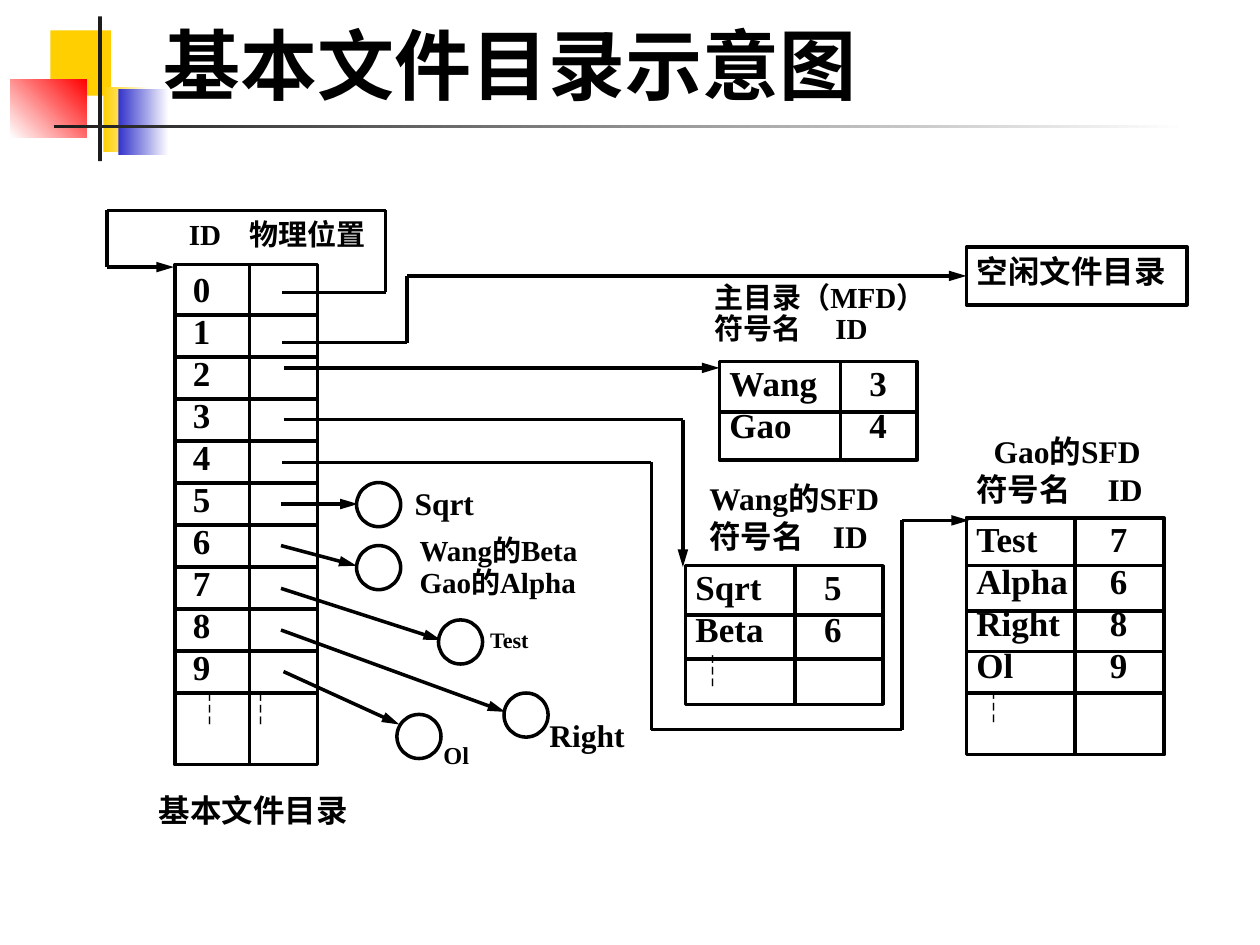
from lxml.etree import SubElement
from pptx import Presentation
from pptx.dml.color import RGBColor
from pptx.enum.shapes import MSO_CONNECTOR as Link, MSO_SHAPE as Shape
from pptx.enum.text import MSO_ANCHOR as Anchor, PP_ALIGN as Align
from pptx.oxml.ns import qn
from pptx.util import Inches, Pt

BLACK, WHITE, YELLOW, BLUE, RED, DARK = (
    "000000", "FFFFFF", "FFCF01", "3333CC", "FF0000", "1C1C1C")
LATIN, HAN = "Times New Roman", "Noto Sans CJK SC"
LABEL_INSETS = (0.08, 0.01, 0.08, 0.01)
CELL_INSETS = (0.08, 0, 0.08, 0)
NO_INSETS = (0, 0, 0, 0)


def colour(value):
    return RGBColor.from_string(value)


def write(frame, text, size=18, insets=LABEL_INSETS, spacing=None, tab=None,
          align=Align.JUSTIFY, first_align=None, anchor=Anchor.TOP):
    frame.word_wrap = True
    frame.vertical_anchor = anchor
    (frame.margin_left, frame.margin_top,
     frame.margin_right, frame.margin_bottom) = map(Inches, insets)
    for index, line in enumerate(text.split("\n")):
        para = frame.add_paragraph() if index else frame.paragraphs[0]
        para.alignment = first_align if first_align and not index else align
        if spacing:
            para.line_spacing = spacing
        if tab and "\t" in line:
            stops = SubElement(para._p.get_or_add_pPr(), qn("a:tabLst"))
            SubElement(stops, qn("a:tab"), pos=str(Inches(tab)), algn="l")
        span = para.add_run()
        span.text = line
        span.font.size = Pt(size)
        span.font.bold = True
        span.font.color.rgb = colour(BLACK)
        span.font.name = HAN if "┆" in line else LATIN
        SubElement(span._r.get_or_add_rPr(), qn("a:ea"), typeface=HAN)


class Diagram:
    def __init__(self, page, stroke=BLACK, weight=2):
        self.page = page
        self.stroke = stroke
        self.weight = weight

    def block(self, at, start, end=None, angle=0):
        box = self.page.shapes.add_shape(Shape.RECTANGLE, *map(Inches, at))
        box.shadow.inherit = False
        box.line.fill.background()
        if end is None:
            box.fill.solid()
            box.fill.fore_color.rgb = colour(start)
            return
        box.fill.gradient()
        box.fill.gradient_angle = angle
        for stop, value in zip(box.fill.gradient_stops, (start, end)):
            stop.color.rgb = colour(value)

    def outlined(self, kind, at):
        box = self.page.shapes.add_shape(kind, *map(Inches, at))
        box.shadow.inherit = False
        box.fill.solid()
        box.fill.fore_color.rgb = colour(WHITE)
        box.line.color.rgb = colour(self.stroke)
        box.line.width = Pt(self.weight)
        return box

    def frame(self, at, text, **style):
        box = self.outlined(Shape.RECTANGLE, at)
        write(box.text_frame, text, **style)
        return box

    def directory(self, at, text, divider, rules, **style):
        left, top, width, height = at
        self.frame(at, text, size=20, **style)
        self.line((divider, top), (divider, top + height))
        for rule in rules:
            self.line((left, rule), (left + width, rule))

    def circle(self, left, top, size=0.35):
        self.outlined(Shape.OVAL, (left, top, size, size))

    def label(self, at, text, **style):
        box = self.page.shapes.add_textbox(*map(Inches, at))
        write(box.text_frame, text, **style)

    def line(self, start, end, arrow=False):
        link = self.page.shapes.add_connector(
            Link.STRAIGHT, *map(Inches, start + end))
        link.line.color.rgb = colour(self.stroke)
        link.line.width = Pt(self.weight)
        if arrow:
            SubElement(link.line._get_or_add_ln(), qn("a:tailEnd"),
                       type="triangle", w="med", len="lg")
        SubElement(link._element.spPr, qn("a:effectLst"))
        return link

    def route(self, *points, arrow=True):
        last = len(points) - 2
        for index, (start, end) in enumerate(zip(points, points[1:])):
            link = self.line(start, end, arrow and index == last)
        return link


def main():
    deck = Presentation()
    deck.slide_width, deck.slide_height = Inches(10), Inches(7.5)
    diagram = Diagram(deck.slides.add_slide(deck.slide_layouts[6]))

    diagram.block((0.4, 0.24, 0.48, 0.52), YELLOW)
    diagram.block((0.82, 0.69, 0.36, 0.52), YELLOW, WHITE)
    diagram.block((0.94, 0.71, 0.4, 0.52), BLUE, WHITE)
    diagram.block((0.08, 0.63, 0.61, 0.46), WHITE, RED, angle=45)
    diagram.block((0.78, 0.13, 0.03, 1.15), DARK)
    diagram.block((0.43, 0.99, 9, 0.03), DARK, WHITE)
    diagram.label((1.2, 0.17, 8.52, 0.75), "基本文件目录示意图", size=44,
                  insets=(0.1, 0.05, 0.1, 0.05), align=Align.LEFT,
                  anchor=Anchor.BOTTOM)

    entries = "\n".join(map(str, range(10)))
    diagram.directory((1.39, 2.1, 1.13, 3.97), entries + "\n┆\t┆", 1.98,
                      [2.5 + row / 3 for row in range(10)],
                      insets=(0.14, 0.02, 0.04, 0), tab=0.4)
    diagram.directory((5.71, 2.87, 1.57, 0.78), "Wang\t3\nGao\t4",
                      6.67, [3.27], insets=CELL_INSETS, tab=1.11)
    diagram.directory((5.44, 4.49, 1.57, 1.1), "Sqrt\t5\nBeta\t6\n┆",
                      6.31, [4.88, 5.23], insets=CELL_INSETS, tab=1.02)
    diagram.directory((7.67, 4.11, 1.57, 1.88),
                      "Test\t7\nAlpha\t6\nRight\t8\nOl\t9\n┆",
                      8.53, [4.49, 4.85, 5.17, 5.5],
                      insets=CELL_INSETS, tab=1.06)
    free_list = diagram.frame((7.67, 1.96, 1.75, 0.46), "空闲文件目录",
                              insets=(0.08, 0.04, 0.08, 0.04))

    diagram.label((1.5, 1.75, 1.5, 0.38), "ID\t物理位置", size=16.6,
                  insets=NO_INSETS, spacing=0.9, tab=0.48)
    diagram.label((5.67, 2.25, 1.92, 0.63), "主目录（MFD）\n符号名\tID",
                  size=16.6, insets=NO_INSETS, spacing=0.9, tab=0.96)
    diagram.label((5.63, 3.8, 1.54, 0.62), "Wang的SFD\n符号名\tID",
                  insets=NO_INSETS, tab=0.98)
    diagram.label((7.75, 3.43, 1.44, 0.65), "Gao的SFD\n符号名\tID",
                  insets=NO_INSETS, tab=1.04, first_align=Align.CENTER)
    diagram.label((1.18, 6.27, 1.74, 0.4), "基本文件目录")

    files = [
        ((2.83, 3.83), (2.23, 4), (2.84, 4),
         (3.21, 3.83, 0.65, 0.35), "Sqrt", 18, None),
        ((2.83, 4.33), (2.23, 4.33), (2.83, 4.49),
         (3.25, 4.25, 1.59, 0.62), "Wang的Beta\nGao的Alpha", 16.6, 0.9),
        ((3.48, 4.92), (2.23, 4.67), (3.5, 5.08),
         (3.81, 5, 0.69, 0.25), "Test", 12.6, 0.8),
        ((4, 5.5), (2.23, 5), (4.01, 5.65),
         (4.28, 5.67, 0.88, 0.38), "Right", 18, None),
        ((3.15, 5.67), (2.25, 5.33), (3.17, 5.75),
         (3.44, 5.91, 0.56, 0.26), "Ol", 13.9, 0.8),
    ]
    for corner, start, end, place, name, size, spacing in files:
        diagram.circle(*corner)
        diagram.line(start, end, arrow=True)
        diagram.label(place, name, size=size, spacing=spacing)

    diagram.route((2.24, 2.32), (3.06, 2.32), (3.06, 1.67), (0.85, 1.67),
                  (0.85, 2.12), (1.38, 2.12))
    free_link = diagram.route((2.24, 2.72), (3.23, 2.72), (3.23, 2.19),
                              (7.67, 2.19))
    free_link.end_connect(free_list, 1)
    diagram.route((2.25, 2.92), (5.71, 2.92))
    diagram.route((2.25, 3.33), (5.42, 3.33), (5.42, 4.5))
    diagram.route((2.24, 3.67), (5.17, 3.67), (5.17, 5.79), (7.16, 5.79),
                  (7.16, 4.13), (7.69, 4.13))
    deck.save("out.pptx")


if __name__ == "__main__":
    main()
